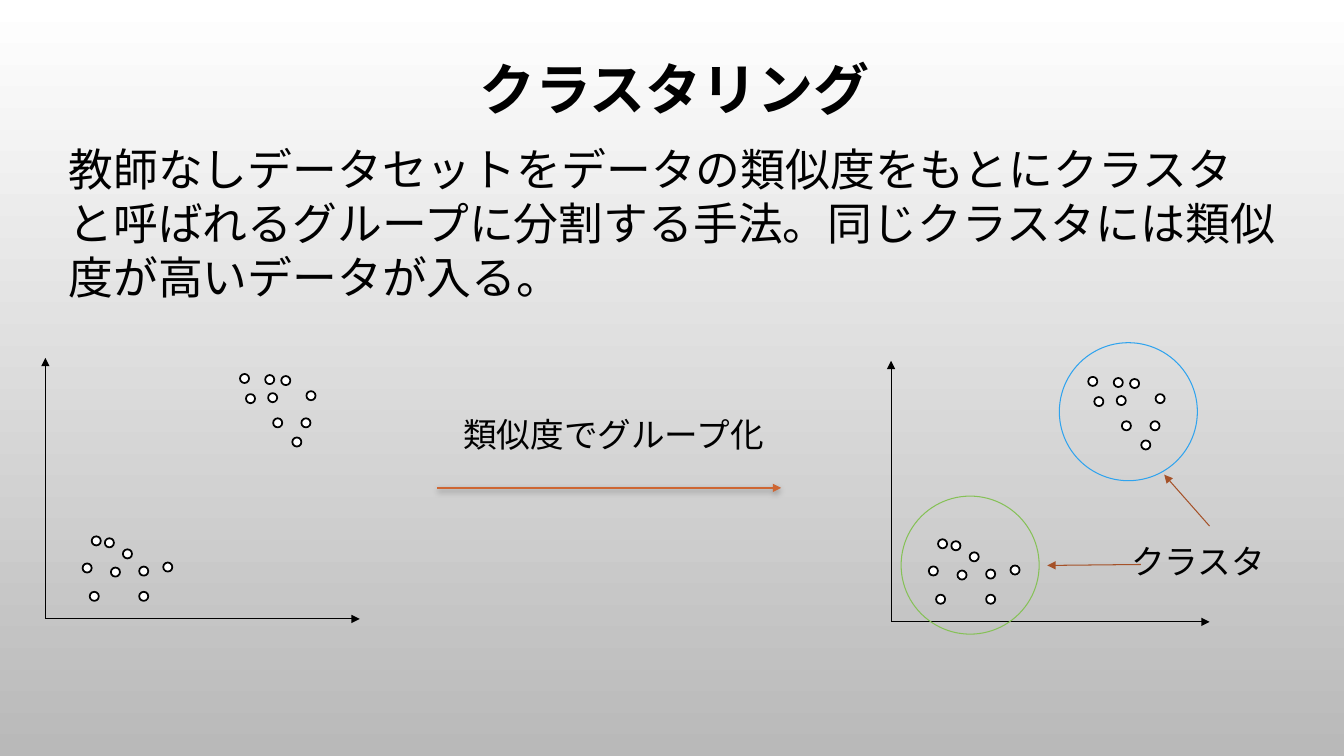
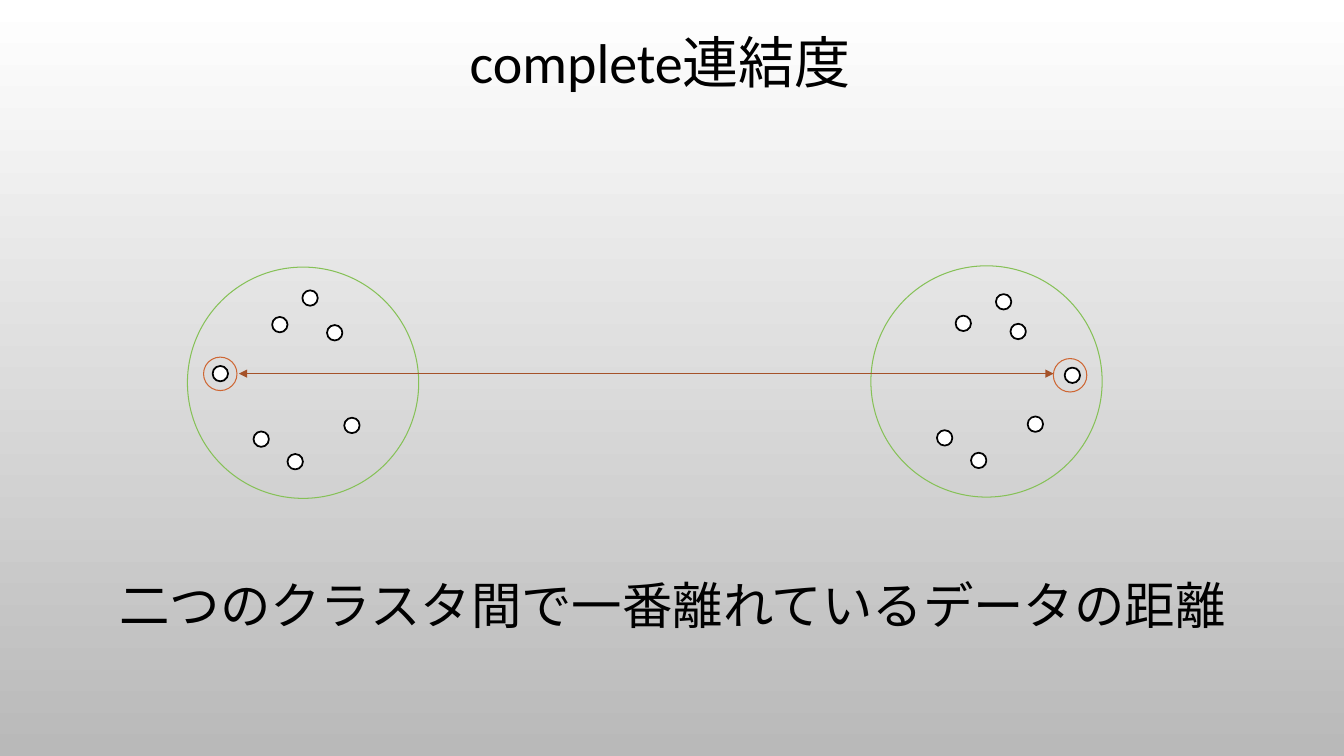
from dataclasses import dataclass
from typing import NamedTuple

from lxml import etree
from pptx import Presentation
from pptx.dml.color import RGBColor
from pptx.enum.lang import MSO_LANGUAGE_ID
from pptx.enum.shapes import MSO_CONNECTOR, MSO_SHAPE
from pptx.enum.text import MSO_AUTO_SIZE, PP_ALIGN
from pptx.oxml.ns import qn
from pptx.util import Pt

OVAL = MSO_SHAPE.OVAL
STRAIGHT = MSO_CONNECTOR.STRAIGHT
LEFT, CENTER = PP_ALIGN.LEFT, PP_ALIGN.CENTER
GROW = MSO_AUTO_SIZE.SHAPE_TO_FIT_TEXT
JAPANESE = MSO_LANGUAGE_ID.JAPANESE


# Theme: colours, font, type sizes and line widths
@dataclass(frozen=True)
class Theme:
    font: str = "Calibri"
    ink: str = "000000"
    paper: str = "FFFFFF"
    paper_end: str = "B9B9B9"
    blue: str = "2FA3EE"
    green: str = "86C157"
    orange: str = "CE6633"
    rust: str = "A55229"
    title: float = 40
    summary: float = 36
    body: float = 32
    label: float = 24
    thin: float = 0.75
    outline: float = 1.25
    thick: float = 1.75


T = Theme()


class Point(NamedTuple):
    x: float
    y: float


class Label(NamedTuple):
    text: str
    x: float
    y: float
    w: float
    h: float
    size: float
    align: PP_ALIGN = CENTER
    bold: bool = False


class Ring(NamedTuple):
    x: float
    y: float
    size: float
    color: str


class Arrow(NamedTuple):
    start: Point
    end: Point
    color: str
    width: float = T.thin
    both_ends: bool = False
    shadow: bool = False


class Plot(NamedTuple):
    origin: Point
    x_scale: float
    rings: tuple[Ring, ...] = ()


class Cluster(NamedTuple):
    x: float
    y: float
    own_dots: tuple[Point, ...]


# Shared drawing functions
def rgb(color: str) -> RGBColor:
    return RGBColor.from_string(color)


def add_label(s, label: Label) -> None:
    tf = s.shapes.add_textbox(
        Pt(label.x), Pt(label.y), Pt(label.w), Pt(label.h)).text_frame
    tf.word_wrap = True
    tf.auto_size = GROW
    p = tf.paragraphs[0]
    p.alignment = label.align
    r = p.add_run()
    r.text = label.text
    r.font.name = T.font
    r.font.size = Pt(label.size)
    r.font.bold = label.bold
    r.font.color.rgb = rgb(T.ink)
    r.font.language_id = JAPANESE


def add_circle(shapes, x: float, y: float, size: float, color: str,
               width: float, fill: str | None = None) -> None:
    sp = shapes.add_shape(OVAL, Pt(x), Pt(y), Pt(size), Pt(size))
    sp.shadow.inherit = False
    if fill:
        sp.fill.solid()
        sp.fill.fore_color.rgb = rgb(fill)
    else:
        sp.fill.background()
    sp.line.color.rgb = rgb(color)
    sp.line.width = Pt(width)


def add_dot(shapes, x: float, y: float, size: float) -> None:
    add_circle(shapes, x, y, size, T.ink, T.outline, T.paper)


def add_ring(shapes, ring: Ring) -> None:
    add_circle(shapes, ring.x, ring.y, ring.size, ring.color, T.thin)


def add_arrow(shapes, arrow: Arrow) -> None:
    (x1, y1), (x2, y2) = arrow.start, arrow.end
    line = shapes.add_connector(STRAIGHT, Pt(x1), Pt(y1), Pt(x2), Pt(y2))
    line.line.color.rgb = rgb(arrow.color)
    line.line.width = Pt(arrow.width)
    props = line._element.spPr
    ln = props.find(qn("a:ln"))
    ends = ("a:headEnd", "a:tailEnd") if arrow.both_ends else ("a:tailEnd",)
    for end in ends:
        etree.SubElement(ln, qn(end), type="triangle")
    effects = etree.SubElement(props, qn("a:effectLst"))
    if arrow.shadow:
        shadow = etree.SubElement(
            effects, qn("a:outerShdw"), blurRad=str(Pt(4)), dist=str(Pt(2)),
            dir="5400000", rotWithShape="0")
        shade = etree.SubElement(shadow, qn("a:srgbClr"), val=T.ink)
        etree.SubElement(shade, qn("a:alpha"), val="28000")


def set_background(master) -> None:
    fill = master.background.fill
    fill.gradient()
    fill.gradient_angle = 270
    for stop, position, color in zip(
            fill.gradient_stops, (0, 1), (T.paper, T.paper_end)):
        stop.position = position
        stop.color.rgb = rgb(color)


# Scatter plots: dots are measured from the origin of the axes
PLOT_DOT = 6.5
AXIS_W, AXIS_H = 224.6, 186.5
PLOT_RING = 98.6
PLOT_DOTS = (
    # upper cluster
    Point(139, -175), Point(157, -174.2), Point(159.1, -161.3),
    Point(168.5, -173.5), Point(186.5, -162.7), Point(143.3, -160.6),
    Point(162.7, -143.3), Point(182.9, -143.3), Point(176.4, -129.6),
    # lower cluster
    Point(26.6, -39.6), Point(46.8, -36.7), Point(42.5, -57.6),
    Point(67, -37.4), Point(33.1, -59), Point(55.4, -49.7),
    Point(31.7, -19.4), Point(84.2, -40.3), Point(67, -19.4),
)
PLOTS = (
    Plot(Point(32.4, 442.1), 1),
    Plot(Point(636.5, 444.2), 1.013, (
        Ring(756.7, 244.8, PLOT_RING, T.blue),
        Ring(643.7, 354.4, PLOT_RING, T.green))),
)


def add_plot(s, plot: Plot) -> None:
    shapes = s.shapes.add_group_shape().shapes
    x, y = plot.origin
    for dot in PLOT_DOTS:
        add_dot(shapes, x + dot.x * plot.x_scale, y + dot.y, PLOT_DOT)
    for end in (Point(x + AXIS_W * plot.x_scale, y), Point(x, y - AXIS_H)):
        add_arrow(shapes, Arrow(plot.origin, end, T.ink))
    for ring in plot.rings:
        add_ring(shapes, ring)


# Linked clusters: dots are measured from the corner of the ring
CLUSTER_DOT = 11
CLUSTER_RING = 165.2
SHARED_DOTS = (
    Point(71.5, 133.5), Point(47.2, 117.4), Point(99.7, 41.4),
    Point(60.5, 35.6), Point(112, 107.6),
)
CLUSTERS = (
    Cluster(133.9, 190.8, (Point(18, 70.6), Point(82.1, 16.6))),
    Cluster(622.1, 189.9, (Point(138.4, 72.7), Point(89.3, 20.2))),
)
FARTHEST_RINGS = (
    Ring(145.4, 255.1, 23.9, T.orange),
    Ring(752.4, 256.1, 23.9, T.orange),
)


def add_cluster(s, cluster: Cluster) -> None:
    shapes = s.shapes.add_group_shape().shapes
    for dot in SHARED_DOTS + cluster.own_dots:
        add_dot(shapes, cluster.x + dot.x, cluster.y + dot.y, CLUSTER_DOT)
    add_ring(shapes, Ring(cluster.x, cluster.y, CLUSTER_RING, T.green))


def title(text: str, x: float, y: float, bold: bool = False) -> Label:
    return Label(text, x, y, 854, 55.7, T.title, bold=bold)


def caption(text: str, x: float, y: float) -> Label:
    return Label(text, x, y, 288.7, 36.4, T.label)


# Slide 1: clustering
def build_clustering(s) -> None:
    add_label(s, title("クラスタリング", 54.7, 35.3, bold=True))
    add_label(s, Label(
        "教師なしデータセットをデータの類似度をもとにクラスタと呼ばれる"
        "グループに分割する手法。同じクラスタには類似度が高いデータが入る。",
        41.8, 97.9, 877, 123.8, T.body, LEFT))
    for plot in PLOTS:
        add_plot(s, plot)
    add_label(s, caption("類似度でグループ化", 293.8, 292.3))
    add_label(s, caption("クラスタ", 711.4, 383))
    for arrow in (
        Arrow(Point(312.5, 348.5), Point(558, 348.5), T.orange, T.thick,
              shadow=True),
        Arrow(Point(864, 375.8), Point(831.6, 339.1), T.rust),
        Arrow(Point(815, 403.2), Point(748.1, 403.9), T.rust),
    ):
        add_arrow(s.shapes, arrow)


# Slide 2: complete linkage
def build_complete_linkage(s) -> None:
    add_label(s, title("complete連結度", 44.6, 15.8))
    for cluster in CLUSTERS:
        add_cluster(s, cluster)
    add_arrow(s.shapes, Arrow(
        Point(170.6, 266.9), Point(752.6, 266.9), T.rust, both_ends=True))
    for ring in FARTHEST_RINGS:
        add_ring(s.shapes, ring)
    add_label(s, Label("二つのクラスタ間で一番離れているデータの距離",
                       41.8, 406.8, 877, 50.9, T.summary))


prs = Presentation()
prs.slide_width, prs.slide_height = Pt(960), Pt(540)
set_background(prs.slide_master)
for build in (build_clustering, build_complete_linkage):
    build(prs.slides.add_slide(prs.slide_layouts[6]))
prs.save("out.pptx")
